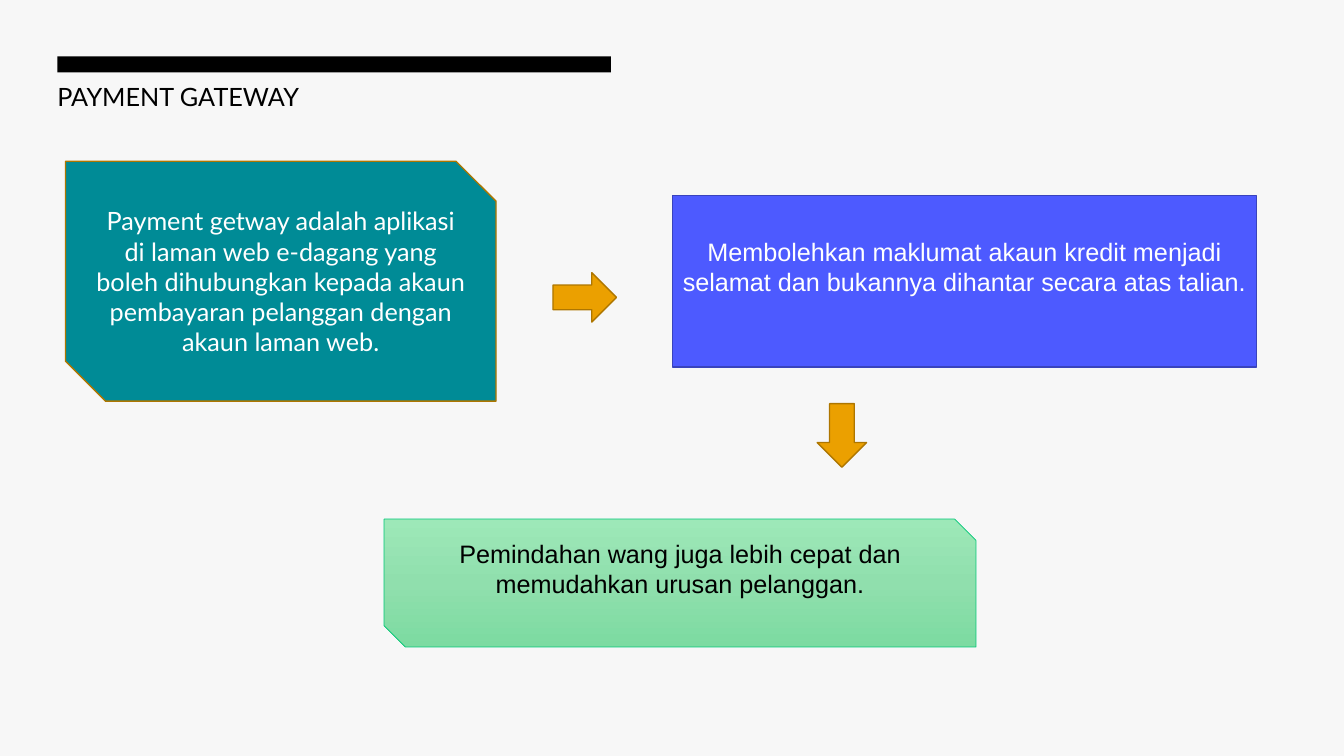
from copy import deepcopy
from dataclasses import dataclass

from pptx import Presentation
from pptx.dml.color import RGBColor
from pptx.enum.shapes import MSO_SHAPE as Shape
from pptx.enum.text import MSO_ANCHOR as Anchor, PP_ALIGN as Align
from pptx.oxml.ns import qn
from pptx.util import Inches, Pt


@dataclass(frozen=True)
class Theme:
    """Colours, fonts and sizes of the slide."""
    background: str = "F7F7F7"
    black: str = "000000"
    white: str = "FFFFFF"
    teal: str = "008B96"
    indigo: str = "4D5AFF"
    indigo_edge: str = "3943BD"
    mint: tuple = ("9DE8B8", "90DFAD", "7CDBA1")
    mint_edge: str = "00C777"
    amber: str = "EBA000"
    amber_edge: str = "AE7600"
    heading_font: str = "Lato"
    body_font: str = "Arial"
    size: int = 18


THEME = Theme()


def write_text(shape, text, font=THEME.body_font, color=THEME.white,
               align=Align.CENTER, anchor=Anchor.MIDDLE, bottom=0.05):
    """Put one formatted paragraph in a shape."""
    frame = shape.text_frame
    frame.word_wrap = True
    frame.vertical_anchor = anchor
    frame.margin_bottom = Inches(bottom)
    para = frame.paragraphs[0]
    para.alignment = align
    span = para.add_run()
    span.text = text
    span.font.name = font
    span.font.size = Pt(THEME.size)
    span.font.color.rgb = RGBColor.from_string(color)


def fill_gradient(shape, colors):
    """Fill a shape from top to bottom with evenly spaced colours."""
    shape.fill.gradient()
    shape.fill.gradient_angle = 270
    stop_list = next(shape._element.spPr.iter(qn("a:gsLst")))
    for _ in colors[2:]:
        stop_list.append(deepcopy(stop_list[0]))
    for index, (stop, color) in enumerate(zip(shape.fill.gradient_stops, colors)):
        stop.position = index / (len(colors) - 1)
        stop.color.rgb = RGBColor.from_string(color)


def add_block(page, kind, box, fill, edge=None, weight=1):
    """Draw a preset shape with a plain or graded fill."""
    shape = page.shapes.add_shape(kind, *map(Inches, box))
    shape.shadow.inherit = False
    if isinstance(fill, tuple):
        fill_gradient(shape, fill)
    else:
        shape.fill.solid()
        shape.fill.fore_color.rgb = RGBColor.from_string(fill)
    if edge:
        shape.line.color.rgb = RGBColor.from_string(edge)
        shape.line.width = Pt(weight)
    else:
        shape.line.fill.background()
    return shape


def add_heading(page, box, text):
    """Place the black bar and the title below it."""
    left, top, width, height = box
    add_block(page, Shape.RECTANGLE, (left, top, width, 0.16), THEME.black)
    title = page.shapes.add_textbox(
        *map(Inches, (left - 0.1, top + 0.2, width + 0.16, height - 0.2)))
    write_text(title, text, font=THEME.heading_font, color=THEME.black,
               align=Align.LEFT, anchor=Anchor.TOP)


def add_arrow(page, center, rotation=0):
    """Draw an amber arrow around a centre point."""
    width, height = 0.63, 0.49
    box = (center[0] - width / 2, center[1] - height / 2, width, height)
    arrow = add_block(page, Shape.RIGHT_ARROW, box, THEME.amber, THEME.amber_edge)
    arrow.rotation = rotation


def add_flow(page, box):
    """Place the three steps and the arrows between them."""
    left, top = box
    definition = add_block(page, Shape.SNIP_2_DIAG_RECTANGLE, (left, top, 4.27, 2.38),
                           THEME.teal, THEME.amber_edge)
    write_text(definition, "Payment getway adalah aplikasi di laman web e-dagang yang "
               "boleh dihubungkan kepada akaun pembayaran pelanggan dengan akaun "
               "laman web.", font=THEME.heading_font)
    safety = add_block(page, Shape.RECTANGLE, (left + 6.02, top + 0.34, 5.79, 1.7),
                       THEME.indigo, THEME.indigo_edge)
    write_text(safety, "Membolehkan maklumat akaun kredit menjadi selamat dan "
               "bukannya dihantar secara atas talian.", bottom=0.34)
    speed = add_block(page, Shape.SNIP_2_DIAG_RECTANGLE,
                      (left + 3.16, top + 3.55, 5.87, 1.27),
                      THEME.mint, THEME.mint_edge, weight=0.5)
    write_text(speed, "Pemindahan wang juga lebih cepat dan memudahkan urusan "
               "pelanggan.", color=THEME.black, bottom=0.34)
    add_arrow(page, (left + 5.15, top + 1.35))
    add_arrow(page, (left + 7.7, top + 2.72), rotation=90)


def main():
    """Build and save the deck."""
    deck = Presentation()
    deck.slide_width, deck.slide_height = Inches(13.33), Inches(7.5)
    page = deck.slides.add_slide(deck.slide_layouts[6])
    page.background.fill.solid()
    page.background.fill.fore_color.rgb = RGBColor.from_string(THEME.background)
    add_heading(page, (0.57, 0.56, 5.49, 0.6), "PAYMENT GATEWAY")
    add_flow(page, (0.65, 1.6))
    deck.save("out.pptx")


if __name__ == "__main__":
    main()
